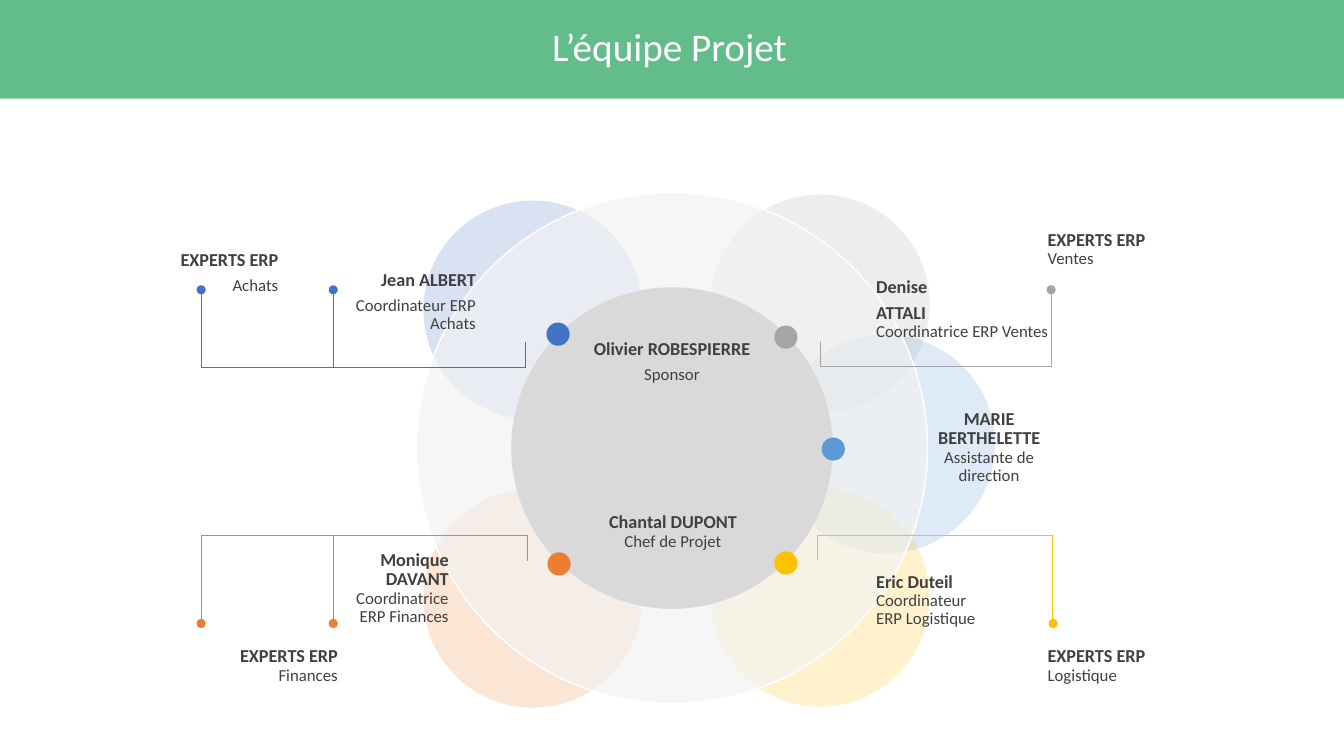
"""Build the project team slide."""
from dataclasses import dataclass
from typing import Optional

from lxml.etree import SubElement
from pptx import Presentation
from pptx.dml.color import RGBColor
from pptx.enum.shapes import MSO_CONNECTOR as Connector, MSO_SHAPE as Shape
from pptx.enum.text import MSO_ANCHOR as Anchor, PP_ALIGN as Align
from pptx.oxml.ns import qn
from pptx.util import Inches, Pt

GREEN = RGBColor(0x62, 0xBD, 0x8A)
BLUE = RGBColor(0x44, 0x72, 0xC4)
SKY = RGBColor(0x5B, 0x9B, 0xD5)
YELLOW = RGBColor(0xFF, 0xC0, 0x00)
ORANGE = RGBColor(0xED, 0x7D, 0x31)
GREY = RGBColor(0xA5, 0xA5, 0xA5)
PALE_GREY = RGBColor(0xF2, 0xF2, 0xF2)
CORE_GREY = RGBColor(0xD9, 0xD9, 0xD9)
DARK = RGBColor(0x40, 0x40, 0x40)
WHITE = RGBColor(0xFF, 0xFF, 0xFF)

PETAL, DOT, EXPERT_DOT = 2.17, 0.23, 0.09


@dataclass
class Circle:
    left: float
    top: float
    size: float
    color: RGBColor
    opacity: int = 100
    outline: Optional[RGBColor] = None


@dataclass
class Label:
    name: str
    role: str
    place: tuple[float, float, float, float]
    align: Align = Align.LEFT
    joined: bool = True
    anchor: Anchor = Anchor.MIDDLE


@dataclass
class Branch:
    start: tuple[float, float]
    end: tuple[float, float]
    color: RGBColor


BACKGROUND = [
    Circle(7.7, 3.32, PETAL, SKY, 20),
    Circle(7.05, 4.84, PETAL, YELLOW, 20),
    Circle(7.05, 1.93, PETAL, GREY, 20),
    Circle(4.2, 4.85, PETAL, ORANGE, 20),
    Circle(4.2, 1.99, PETAL, BLUE, 20),
    Circle(4.13, 1.91, 5.07, PALE_GREY, 68, WHITE),
    Circle(5.07, 2.85, 3.19, CORE_GREY),
]
DOTS = [
    Circle(5.42, 3.2, DOT, BLUE),
    Circle(7.68, 3.23, DOT, GREY),
    Circle(7.68, 5.47, DOT, YELLOW),
    Circle(8.15, 4.34, DOT, SKY),
    Circle(5.43, 5.48, DOT, ORANGE),
    Circle(3.26, 2.83, EXPERT_DOT, BLUE),
    Circle(1.95, 2.83, EXPERT_DOT, BLUE),
    Circle(3.26, 6.14, EXPERT_DOT, ORANGE),
    Circle(1.95, 6.14, EXPERT_DOT, ORANGE),
    Circle(10.38, 2.83, EXPERT_DOT, GREY),
    Circle(10.4, 6.14, EXPERT_DOT, YELLOW),
]
LABELS = [
    Label("Chantal DUPONT", "Chef de Projet", (5.71, 4.9, 1.93, 0.75), Align.CENTER),
    Label("EXPERTS ERP", "Achats", (1.58, 2.33, 1.18, 0.75), Align.RIGHT, joined=False),
    Label("EXPERTS ERP", "Finances", (2.17, 6.23, 1.18, 0.75), Align.RIGHT),
    Label("Jean ALBERT", "Coordinateur ERP Achats", (3.42, 2.7, 1.3, 0.59), Align.RIGHT, joined=False),
    Label("Monique DAVANT", "Coordinatrice ERP Finances", (3.27, 5.54, 1.18, 0.59), Align.RIGHT),
    Label("Denise\nATTALI", "Coordinatrice ERP Ventes", (8.69, 2.66, 1.74, 0.82)),
    Label("MARIE BERTHELETTE", "Assistante de direction", (9.22, 4.14, 1.18, 0.59), Align.CENTER),
    Label("Eric Duteil", "Coordinateur ERP Logistique", (8.69, 5.66, 1.18, 0.59)),
    Label("EXPERTS ERP", "Ventes", (10.39, 2.1, 1.18, 0.75)),
    Label("Olivier ROBESPIERRE", "Sponsor", (5.7, 3.37, 1.93, 0.43), Align.CENTER, False, Anchor.TOP),
    Label("EXPERTS ERP", "Logistique", (10.39, 6.23, 1.33, 0.75)),
]
BRANCHES = [
    Branch((5.21, 3.39), (3.31, 2.92), BLUE),
    Branch((5.21, 3.39), (2, 2.92), BLUE),
    Branch((5.23, 5.56), (3.31, 6.14), ORANGE),
    Branch((5.23, 5.56), (2, 6.14), ORANGE),
    Branch((8.14, 3.39), (10.43, 2.92), GREY),
    Branch((8.11, 5.56), (10.44, 6.14), YELLOW),
]


def add_filled(slide, kind: Shape, place: tuple, color: RGBColor):
    shape = slide.shapes.add_shape(kind, *map(Inches, place))
    shape.shadow.inherit = False
    shape.fill.solid()
    shape.fill.fore_color.rgb = color
    shape.line.fill.background()
    return shape


def add_circle(slide, circle: Circle) -> None:
    place = (circle.left, circle.top, circle.size, circle.size)
    shape = add_filled(slide, Shape.OVAL, place, circle.color)
    if circle.opacity < 100:
        color = shape.fill._xPr.find(f".//{qn('a:srgbClr')}")
        SubElement(color, qn("a:alpha"), val=str(circle.opacity * 1000))
    if circle.outline is not None:
        shape.line.color.rgb = circle.outline
        shape.line.width = Pt(1)


def add_frame(slide, place: tuple, anchor: Anchor, margins: tuple = (0, 0)):
    frame = slide.shapes.add_textbox(*map(Inches, place)).text_frame
    frame.word_wrap = True
    frame.vertical_anchor = anchor
    frame.margin_left = frame.margin_right = Inches(margins[0])
    frame.margin_top = frame.margin_bottom = Inches(margins[1])
    return frame


def add_text(paragraph, text: str, *, size: float, bold: bool = False,
             color: RGBColor = DARK, align: Align = Align.LEFT, after: float = 4.5) -> None:
    paragraph.alignment = align
    paragraph.line_spacing = 0.9
    paragraph.space_after = Pt(after)
    run = paragraph.add_run()
    run.text = text
    run.font.name = "Calibri"
    run.font.size = Pt(size)
    run.font.bold = bold
    run.font.color.rgb = color


def add_label(slide, label: Label) -> None:
    frame = add_frame(slide, label.place, label.anchor)
    paragraph = frame.paragraphs[0]
    for index, name in enumerate(label.name.split("\n")):
        if index:
            paragraph = frame.add_paragraph()
        add_text(paragraph, name, size=13, bold=True, align=label.align)
    if label.joined:
        paragraph.add_line_break()
    else:
        paragraph = frame.add_paragraph()
    add_text(paragraph, label.role, size=12, align=label.align)


def add_branch(slide, branch: Branch) -> None:
    (x1, y1), (x2, y2) = branch.start, branch.end
    upward, rightward = y2 < y1, x2 > x1
    width, height = abs(y2 - y1), abs(x2 - x1)
    left, top = (x1 + x2 - width) / 2, (y1 + y2 - height) / 2
    connector = slide.shapes.add_connector(
        Connector.ELBOW, *map(Inches, (left, top, left + width, top + height)))
    connector.line.color.rgb = branch.color
    connector.line.width = Pt(0.5)
    properties = connector._element.spPr
    SubElement(properties, qn("a:effectLst"))
    transform = properties.find(qn("a:xfrm"))
    transform.set("rot", str((90 if upward else 270) * 60000))
    transform.set("flipH", "1")
    if upward == rightward:
        transform.set("flipV", "1")
    adjustments = properties.find(f".//{qn('a:avLst')}")
    bend = -round(0.25 / width * 100000)
    SubElement(adjustments, qn("a:gd"), name="adj1", fmla=f"val {bend}")


def main() -> None:
    presentation = Presentation()
    presentation.slide_width, presentation.slide_height = Inches(13.33), Inches(7.5)
    slide = presentation.slides.add_slide(presentation.slide_layouts[6])
    add_filled(slide, Shape.RECTANGLE, (0, 0, 13.36, 0.98), GREEN)
    for circle in BACKGROUND:
        add_circle(slide, circle)
    for label in LABELS:
        add_label(slide, label)
    for circle in DOTS:
        add_circle(slide, circle)
    for branch in BRANCHES:
        add_branch(slide, branch)
    title = add_frame(slide, (0.48, 0.22, 12.32, 0.53), Anchor.MIDDLE, (0.1, 0.05))
    add_text(title.paragraphs[0], "L’équipe Projet", size=28, color=WHITE,
             align=Align.CENTER, after=0)
    presentation.save("out.pptx")


if __name__ == "__main__":
    main()
